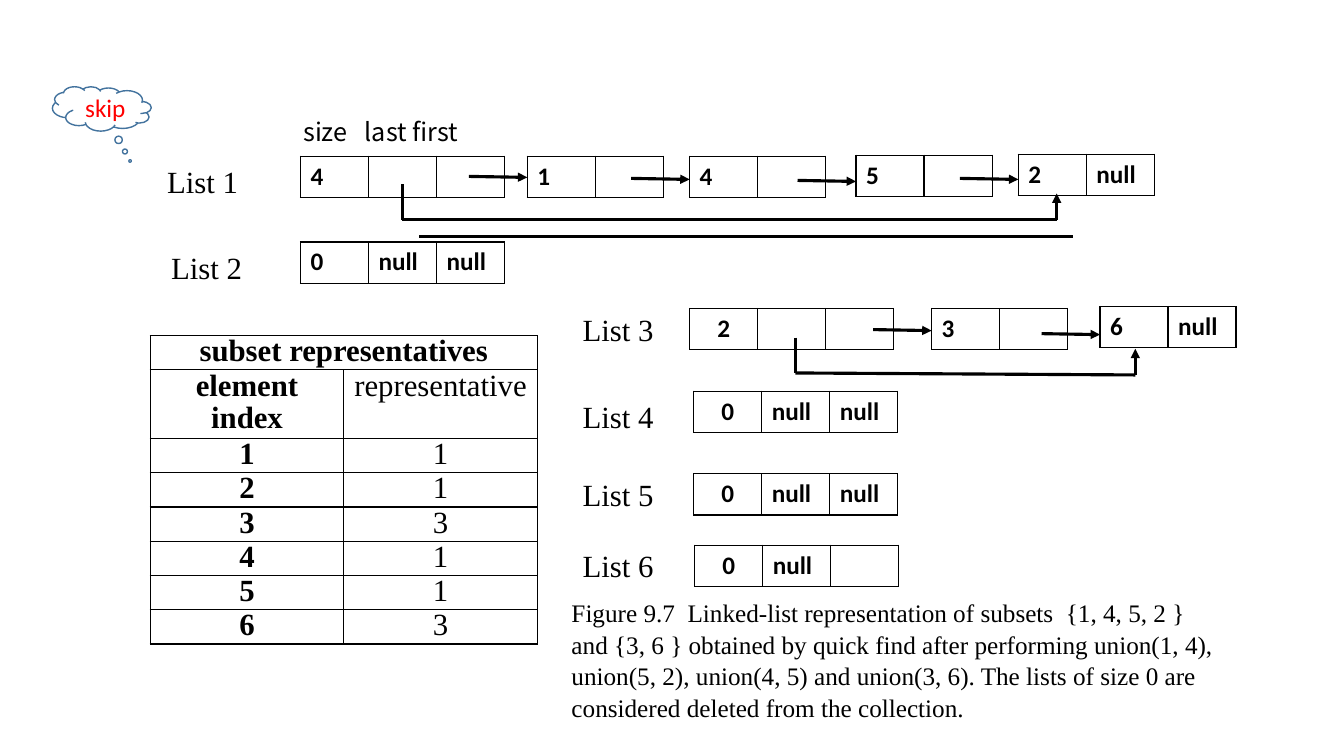
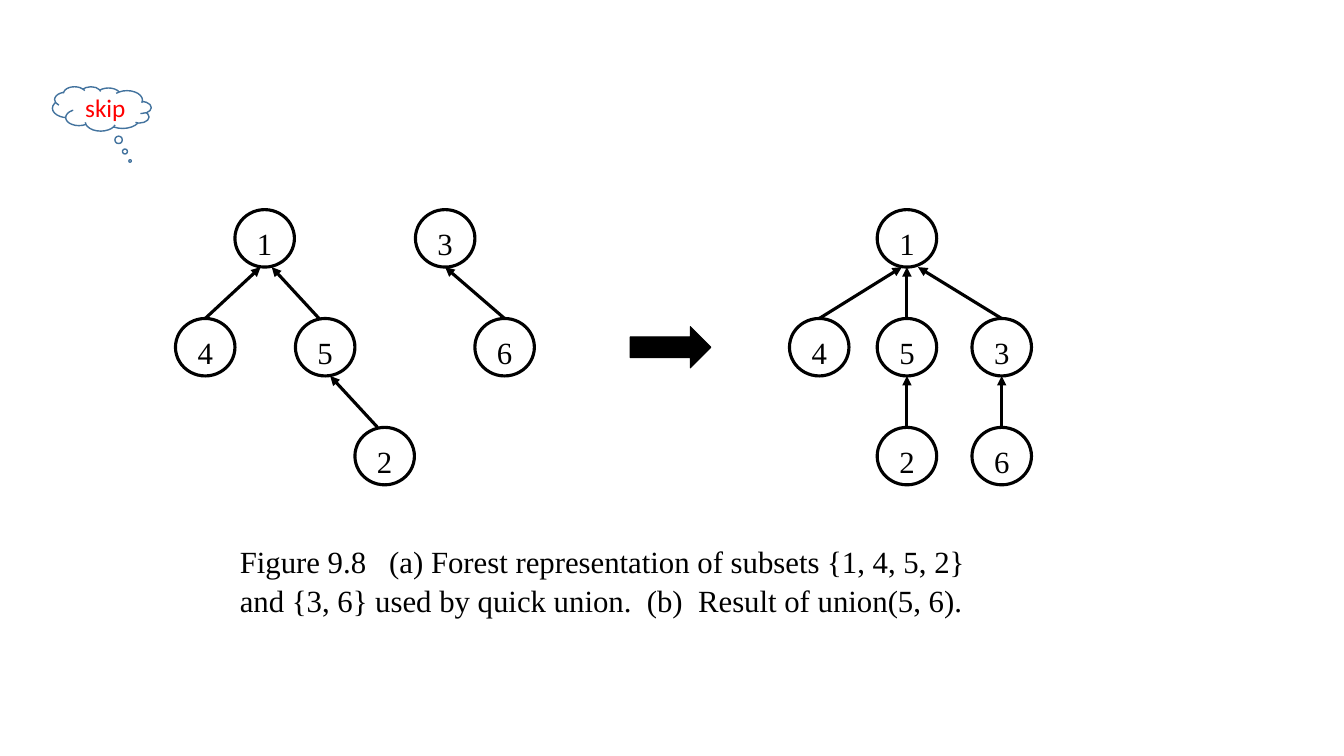
import pptx
import pptx.dml.color
import pptx.enum.shapes
import pptx.enum.text
import pptx.oxml.ns
import pptx.util
from lxml import etree

Inches = pptx.util.Inches
Pt = pptx.util.Pt
SHAPES = pptx.enum.shapes.MSO_SHAPE
CENTER = pptx.enum.text.PP_ALIGN.CENTER
LEFT = pptx.enum.text.PP_ALIGN.LEFT
TOP = pptx.enum.text.MSO_ANCHOR.TOP
MIDDLE = pptx.enum.text.MSO_ANCHOR.MIDDLE

# Shared style
BLACK = pptx.dml.color.RGBColor(0x00, 0x00, 0x00)
WHITE = pptx.dml.color.RGBColor(0xFF, 0xFF, 0xFF)
RED = pptx.dml.color.RGBColor(0xFF, 0x00, 0x00)
OUTLINE_BLUE = pptx.dml.color.RGBColor(0x43, 0x73, 0x9E)
SERIF = "Times New Roman"
SANS = "Calibri"
HEADING_FONT = "Noto Sans CJK SC"
SERIF_SPACING = 1.05

# Linked-list and tree measures, in inches
CELL_WIDTH, CELL_HEIGHT = 0.675, 0.41
NODE_WIDTH, NODE_HEIGHT, LEVEL_GAP = 0.59, 0.57, 1.08


def add_xml(parent, tag, **attributes):
    return etree.SubElement(parent, pptx.oxml.ns.qn(tag), attributes)


def write(text_frame, text, size, font=SERIF, color=BLACK, bold=False,
          align=LEFT, spacing=None):
    text_frame.text = text
    paragraph = text_frame.paragraphs[0]
    paragraph.alignment = align
    if spacing:
        paragraph.line_spacing = spacing
    for run in paragraph.runs:
        run.font.size = Pt(size)
        run.font.name = font
        run.font.bold = bold
        run.font.color.rgb = color
    return paragraph


def add_box(slide, kind, left, top, width, height, fill=WHITE, line=WHITE,
            line_width=0.75):
    shape = slide.shapes.add_shape(kind, Inches(left), Inches(top),
                                   Inches(width), Inches(height))
    shape.shadow.inherit = False
    shape.fill.solid()
    shape.fill.fore_color.rgb = fill
    shape.line.color.rgb = line
    shape.line.width = Pt(line_width)
    shape.text_frame.vertical_anchor = TOP
    return shape


def add_text(slide, left, top, width, height, text, size, font=SERIF,
             wrap=True, spacing=SERIF_SPACING):
    box = slide.shapes.add_textbox(Inches(left), Inches(top),
                                   Inches(width), Inches(height))
    box.text_frame.word_wrap = wrap
    return write(box.text_frame, text, size, font, spacing=spacing)


def add_line(slide, start, end, arrow=False):
    connector = slide.shapes.add_connector(
        pptx.enum.shapes.MSO_CONNECTOR.STRAIGHT,
        *(Inches(value) for value in (*start, *end)))
    connector.line.color.rgb = BLACK
    connector.line.width = Pt(2.25)
    if arrow:
        add_xml(connector.line._get_or_add_ln(), "a:tailEnd", type="triangle")
    add_xml(connector._element.spPr, "a:effectLst")
    return connector


def add_path(slide, points):
    """Draw joined straight lines with an arrowhead on the last."""
    last = len(points) - 2
    for index, (start, end) in enumerate(zip(points, points[1:])):
        add_line(slide, start, end, arrow=index == last)


def add_grid(slide, left, top, column_widths, row_heights):
    """Add a white table with thin black borders."""
    table = slide.shapes.add_table(
        len(row_heights), len(column_widths), Inches(left), Inches(top),
        Inches(sum(column_widths)), Inches(sum(row_heights))).table
    table.first_row = table.horz_banding = False
    for column, width in zip(table.columns, column_widths):
        column.width = Inches(width)
    for row, height in zip(table.rows, row_heights):
        row.height = Inches(height)
    for cell in table.iter_cells():
        properties = cell._tc.get_or_add_tcPr()
        for side in ("a:lnL", "a:lnR", "a:lnT", "a:lnB"):
            border = add_xml(properties, side, w=str(Pt(1)))
            add_xml(add_xml(border, "a:solidFill"), "a:srgbClr", val=str(BLACK))
        cell.fill.solid()
        cell.fill.fore_color.rgb = WHITE
    return table


def skip_callout(slide, left, top):
    cloud = add_box(slide, SHAPES.CLOUD_CALLOUT, left, top, 0.98, 0.44,
                    line=OUTLINE_BLUE, line_width=1)
    cloud.adjustments[0] = -0.286
    cloud.adjustments[1] = 1.176
    cloud._element.spPr.get_or_add_xfrm().set("flipH", "1")
    cloud.text_frame.vertical_anchor = MIDDLE
    write(cloud.text_frame, "skip", 18, SANS, RED, align=CENTER)


def list_label(slide, left, top, text):
    label = add_box(slide, SHAPES.RECTANGLE, left, top, 1, 0.5)
    write(label.text_frame, text, 22, spacing=SERIF_SPACING)


def list_cells(slide, left, top, texts, first_align=LEFT):
    table = add_grid(slide, left, top, [CELL_WIDTH] * len(texts), [CELL_HEIGHT])
    for index, text in enumerate(texts):
        if text:
            write(table.cell(0, index).text_frame, text, 18, SANS, bold=True,
                  align=LEFT if index else first_align)


def linked_list(slide, left, top, head, nodes=(), first_align=LEFT):
    """Draw a head and its nodes: (x offset, y offset, arrow offset, texts)."""
    list_cells(slide, left, top, head, first_align)
    for across, down, arrow_down, texts in nodes:
        list_cells(slide, left + across, top + down, texts)
        tip, level = left + across, top + arrow_down
        add_line(slide, (tip - 0.58, level), (tip, level + 0.01), arrow=True)


def representatives_table(slide, left, top):
    rows = [("subset representatives", ""), ("element index", "representative"),
            ("1", "1"), ("2", "1"), ("3", "3"),
            ("4", "1"), ("5", "1"), ("6", "3")]
    heights = [0.34, 0.68] + [0.34] * 6
    table = add_grid(slide, left, top, [1.92, 1.92], heights)
    table.cell(0, 0).merge(table.cell(0, 1))
    for row, texts in enumerate(rows):
        for column, text in enumerate(texts):
            cell = table.cell(row, column)
            cell.margin_left = cell.margin_right = Inches(0.07)
            cell.margin_top = cell.margin_bottom = 0
            if text:
                write(cell.text_frame, text, 22, bold=column == 0,
                      align=CENTER, spacing=0.96)


def forest(slide, left, top, nodes, edges):
    """Draw nodes {label: (x offset, level)} and edges from child to parent.

    Each edge is (child, parent, start shift, end shift).
    """
    circles = {}
    for label, (across, level) in nodes.items():
        circle = add_box(slide, SHAPES.OVAL, left + across,
                         top + level * LEVEL_GAP, NODE_WIDTH, NODE_HEIGHT,
                         line=BLACK, line_width=2.25)
        write(circle.text_frame, label, 22, align=CENTER,
              spacing=SERIF_SPACING)
        circles[label] = circle
    for child, parent, start_shift, end_shift in edges:
        child_x, child_level = nodes[child]
        parent_x, parent_level = nodes[parent]
        middle = left + NODE_WIDTH / 2
        start = (middle + child_x + start_shift, top + child_level * LEVEL_GAP)
        end = (middle + parent_x + end_shift,
               top + parent_level * LEVEL_GAP + NODE_HEIGHT)
        connector = add_line(slide, start, end, arrow=True)
        if start_shift == 0:
            connector.begin_connect(circles[child], 0)


def linked_list_slide(slide):
    representatives_table(slide, 1.49, 3.33)

    # Labels
    for number, left, top in [(1, 1.56, 1.55), (2, 1.6, 2.4), (3, 5.68, 3.02),
                              (4, 5.68, 3.88), (5, 5.68, 4.65), (6, 5.68, 5.36)]:
        list_label(slide, left, top, f"List {number}")

    # Column heading, with a tab between the first two words
    heading = add_text(slide, 2.91, 1.1, 1.86, 0.4, "size\tlast first", 18,
                       HEADING_FONT, wrap=False, spacing=None)
    tabs = add_xml(heading._p.get_or_add_pPr(), "a:tabLst")
    add_xml(tabs, "a:tab", pos=str(Inches(0.61)), algn="l")

    # Lists 1 and 2
    linked_list(slide, 2.98, 1.55, ("4", "", ""),
                [(2.25, 0, 0.2, ("1", "")), (3.86, 0, 0.22, ("4", "")),
                 (5.51, -0.01, 0.24, ("5", "")),
                 (7.12, -0.02, 0.22, ("2", "null"))])
    add_path(slide, [(3.99, 1.83), (3.99, 2.18), (10.48, 2.18), (10.48, 1.92)])
    add_line(slide, (4.16, 2.35), (10.64, 2.35))
    linked_list(slide, 2.98, 2.4, ("0", "null", "null"))

    # Lists 3 to 6
    linked_list(slide, 6.84, 3.06, ("2", "", ""),
                [(2.4, 0, 0.21, ("3", "")), (4.07, -0.02, 0.25, ("6", "null"))],
                first_align=CENTER)
    add_path(slide, [(7.89, 3.35), (7.89, 3.7), (11.26, 3.72), (11.26, 3.46)])
    for left, top, last in [(6.88, 3.88, "null"), (6.88, 4.7, "null"),
                            (6.89, 5.41, "")]:
        linked_list(slide, left, top, ("0", "null", last), first_align=CENTER)

    add_text(slide, 5.57, 5.86, 6.67, 1.31,
             "Figure 9.7  Linked-list representation of subsets  {1, 4, 5, 2 } "
             "and {3, 6 } obtained by quick find after performing union(1, 4), "
             "union(5, 2), union(4, 5) and union(3, 6). The lists of size 0 are "
             "considered deleted from the collection.", 18)


def forest_slide(slide):
    # Before the union
    forest(slide, 1.74, 2.08,
           {"1": (0.59, 0), "4": (0, 1), "5": (1.19, 1), "2": (1.78, 2),
            "3": (2.38, 0), "6": (2.97, 1)},
           [("6", "3", 0, 0), ("5", "1", -0.06, 0.07),
            ("2", "5", -0.07, 0.05), ("4", "1", 0, -0.04)])

    arrow = add_box(slide, SHAPES.RIGHT_ARROW, 6.25, 3.24, 0.8, 0.41,
                    fill=BLACK, line=BLACK)
    arrow.adjustments[1] = 0.494

    # After the union
    forest(slide, 7.83, 2.08,
           {"1": (0.87, 0), "4": (0, 1), "5": (0.87, 1), "2": (0.87, 2),
            "3": (1.81, 1), "6": (1.81, 2)},
           [("3", "1", 0, 0.11), ("4", "1", 0, -0.05), ("5", "1", 0, 0),
            ("2", "5", 0, 0), ("6", "3", 0, 0)])

    add_text(slide, 2.28, 5.32, 7.65, 0.84,
             "Figure 9.8   (a) Forest representation of subsets {1, 4, 5, 2} "
             "and {3, 6} used by quick union.  (b)  Result of union(5, 6).", 22)


def main():
    presentation = pptx.Presentation()
    presentation.slide_width = Inches(13.33)
    presentation.slide_height = Inches(7.5)
    for build in (linked_list_slide, forest_slide):
        slide = presentation.slides.add_slide(presentation.slide_layouts[6])
        build(slide)
        skip_callout(slide, 0.52, 0.86)
    presentation.save("out.pptx")


if __name__ == "__main__":
    main()
